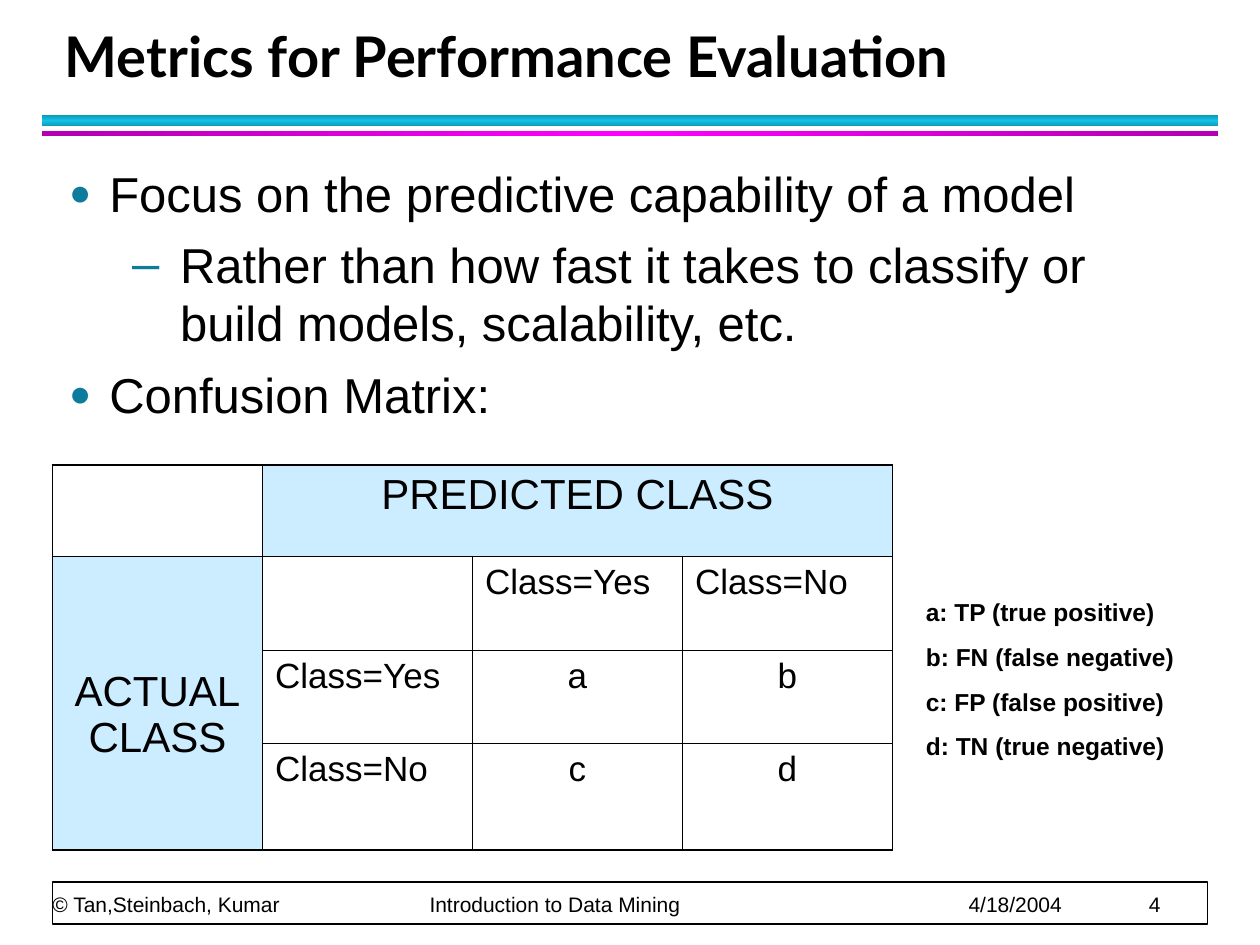
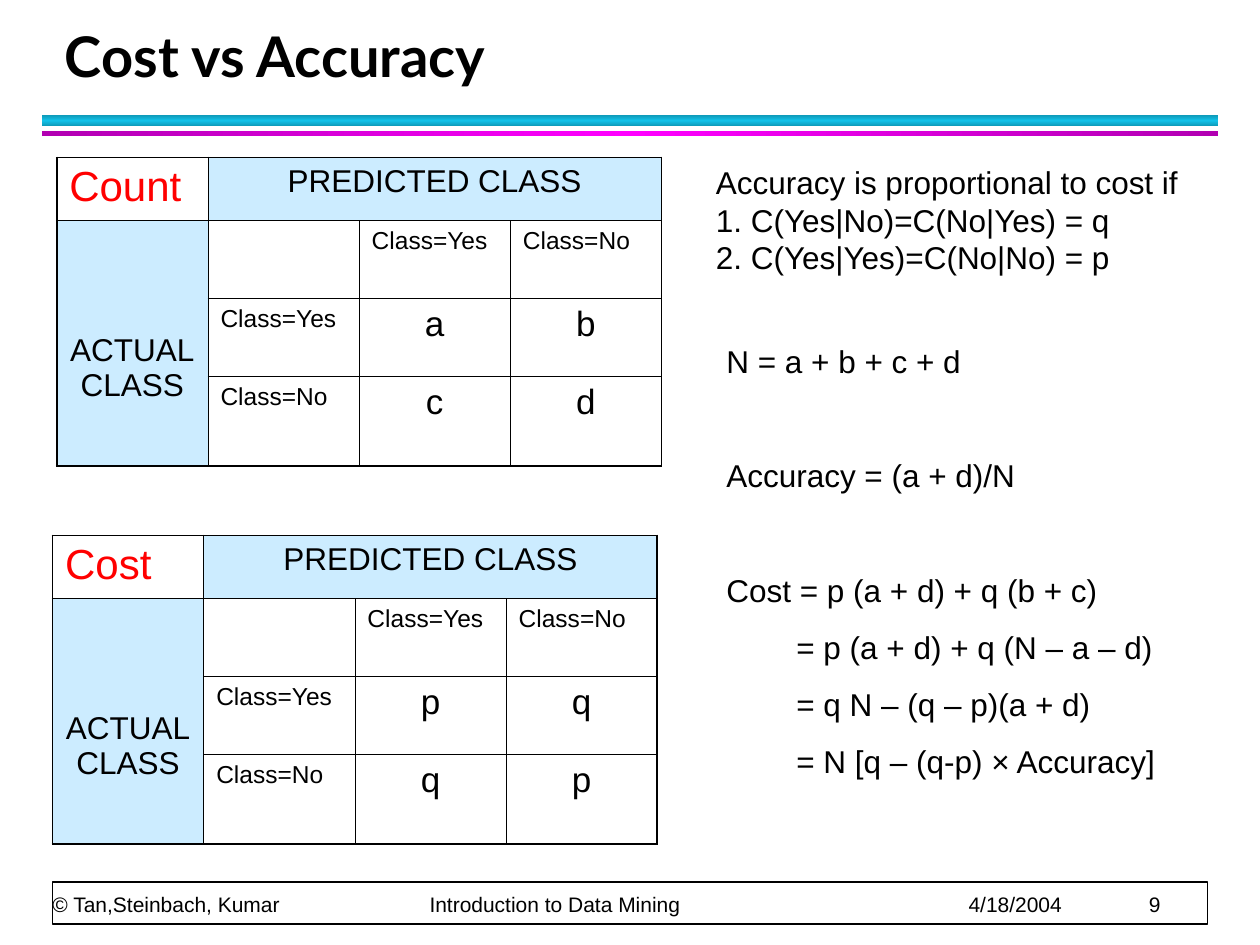
from copy import deepcopy

from lxml import etree
from pptx import Presentation
from pptx.dml.color import RGBColor
from pptx.enum import shapes, text
from pptx.oxml import ns
from pptx.util import Pt

BLACK = RGBColor(0x00, 0x00, 0x00)
WHITE = RGBColor(0xFF, 0xFF, 0xFF)
RED = RGBColor(0xFF, 0x00, 0x00)
HEADER_BLUE = RGBColor(0xCC, 0xEC, 0xFF)
BULLET_TEAL = RGBColor(0x0C, 0x7B, 0x9C)
TEAL, CYAN = RGBColor(0x0E, 0x9B, 0xBA), RGBColor(0x12, 0xC2, 0xE9)
PURPLE, MAGENTA = RGBColor(0xB2, 0x00, 0xB2), RGBColor(0xFF, 0x00, 0xFF)

BODY_FONT, TITLE_FONT = "Arial", "Lato"
LINE_FACTOR = 1.19
OUTER_BORDER, INNER_BORDER = Pt(1.08), Pt(0.45)
FOOTER_TABS = (215.5, 523.5, 626.5)


def add_child(parent, tag, **attributes):
    """Append a DrawingML element and return it."""
    child = etree.SubElement(parent, ns.qn(tag))
    for key, value in attributes.items():
        child.set(key, str(value))
    return child


def write(paragraph, words, size, font=BODY_FONT, color=BLACK, bold=False):
    """Add words as runs, with a line break at each newline."""
    for index, line in enumerate(words.split("\n")):
        if index:
            paragraph.add_line_break()
        run = paragraph.add_run()
        run.text = line
        run.font.name, run.font.size, run.font.bold = font, Pt(size), bold
        run.font.color.rgb = color


def text_area(slide, left, top, width, height, inset=True):
    """Add a wrapping text box and return its frame."""
    frame = slide.shapes.add_textbox(Pt(left), Pt(top), Pt(width), Pt(height)).text_frame
    frame.word_wrap = True
    if not inset:
        frame.margin_left = frame.margin_right = frame.margin_top = frame.margin_bottom = 0
    return frame


def next_paragraph(frame, index, gap):
    """Return the paragraph at the index, with a gap before all but the first."""
    if index == 0:
        return frame.paragraphs[0]
    paragraph = frame.add_paragraph()
    paragraph.space_before = Pt(gap)
    return paragraph


def rectangle(slide, left, top, width, height):
    """Add a rectangle without shadow."""
    box = slide.shapes.add_shape(
        shapes.MSO_SHAPE.RECTANGLE, Pt(left), Pt(top), Pt(width), Pt(height))
    box.shadow.inherit = False
    return box


def gradient_band(slide, top, height, edge, middle, angle):
    """Add a title rule that fades from edge to middle and back."""
    band = rectangle(slide, 24, top, 672, height)
    band.line.fill.background()
    band.fill.gradient()
    band.fill.gradient_angle = angle
    stop_list = band.element.spPr.find(".//" + ns.qn("a:gsLst"))
    stop_list.append(deepcopy(stop_list[0]))
    for stop, position, color in zip(
            band.fill.gradient_stops, (0, 0.5, 1), (edge, middle, edge)):
        stop.position = position
        stop.color.rgb = color


def footer(slide, number):
    """Add the framed footer with credit, course, date and page number."""
    frame_box = rectangle(slide, 30, 504, 660, 24)
    frame_box.fill.solid()
    frame_box.fill.fore_color.rgb = WHITE
    frame_box.line.color.rgb = BLACK
    frame_box.line.width = Pt(1)
    frame = text_area(slide, 30, 484, 659, 40, inset=False)
    frame.vertical_anchor = text.MSO_ANCHOR.BOTTOM
    paragraph = frame.paragraphs[0]
    tabs = add_child(paragraph._p.get_or_add_pPr(), "a:tabLst")
    for position in FOOTER_TABS:
        add_child(tabs, "a:tab", pos=Pt(position), algn="l")
    paragraph.line_spacing = Pt(20)
    parts = ("© Tan,Steinbach, Kumar", "Introduction to Data Mining", "4/18/2004", str(number))
    write(paragraph, "\t".join(parts), 12)


def base_slide(deck, title, number):
    """Add a blank slide with the shared bands, footer and title."""
    slide = deck.slides.add_slide(deck.slide_layouts[6])
    gradient_band(slide, 66, 6, TEAL, CYAN, 90)
    gradient_band(slide, 75, 3, PURPLE, MAGENTA, 0)
    footer(slide, number)
    frame = text_area(slide, 30, 12, 652, 42)
    frame.vertical_anchor = text.MSO_ANCHOR.BOTTOM
    frame.paragraphs[0].line_spacing = Pt(36)
    write(frame.paragraphs[0], title, 32, TITLE_FONT, bold=True)
    return slide


def bullets(slide, left, top, width, height, items, size=28):
    """Add two-level bullets given as (level, words)."""
    styles = (("●", 75, 23, 23), ("–", 100, 63.4, 27.4))
    frame = text_area(slide, left, top, width, height)
    for index, (level, words) in enumerate(items):
        mark, percent, margin, hang = styles[level]
        paragraph = next_paragraph(frame, index, 3.5)
        properties = paragraph._p.get_or_add_pPr()
        properties.set("marL", str(Pt(margin)))
        properties.set("indent", str(-Pt(hang)))
        add_child(add_child(properties, "a:buClr"), "a:srgbClr", val=BULLET_TEAL)
        add_child(properties, "a:buSzPct", val=percent * 1000)
        add_child(properties, "a:buFont", typeface=BODY_FONT)
        add_child(properties, "a:buChar", char=mark)
        paragraph.level = level
        paragraph.space_after = Pt(4)
        paragraph.line_spacing = Pt(round(size * LINE_FACTOR, 2))
        write(paragraph, words, size)


def lines(slide, left, top, width, height, items, size, bold=False):
    """Add plain paragraphs given as (words, gap before, indent)."""
    frame = text_area(slide, left, top, width, height)
    for index, (words, gap, indent) in enumerate(items):
        paragraph = next_paragraph(frame, index, gap)
        if indent:
            paragraph._p.get_or_add_pPr().set("marL", str(Pt(indent)))
        paragraph.line_spacing = Pt(round(size * LINE_FACTOR, 2))
        write(paragraph, words, size, bold=bold)


def cell_borders(cell, row, column):
    """Draw thick borders on the table's outside and thin ones inside."""
    at_edge = {
        "a:lnL": column == 0,
        "a:lnR": column + cell.span_width == 4,
        "a:lnT": row == 0,
        "a:lnB": row + cell.span_height == 4,
    }
    properties = cell._tc.get_or_add_tcPr()
    for side, outside in at_edge.items():
        line = add_child(properties, side, w=OUTER_BORDER if outside else INNER_BORDER)
        add_child(add_child(line, "a:solidFill"), "a:srgbClr", val=BLACK)


def confusion_matrix(slide, left, top, column_width, row_heights, corner, values,
                     header_size, class_size):
    """Add a predicted-by-actual table holding four values."""
    table = slide.shapes.add_table(
        4, 4, Pt(left), Pt(top), Pt(4 * column_width), Pt(sum(row_heights))).table
    table.first_row = table.horz_banding = False
    for column in table.columns:
        column.width = Pt(column_width)
    for row, height in zip(table.rows, row_heights):
        row.height = Pt(height)
    predicted, actual = table.cell(0, 1), table.cell(1, 0)
    predicted.merge(table.cell(0, 3))
    actual.merge(table.cell(3, 0))
    for row in range(4):
        for column in range(4):
            cell = table.cell(row, column)
            cell_borders(cell, row, column)
            if (row == 0) != (column == 0):
                cell.fill.solid()
                cell.fill.fore_color.rgb = HEADER_BLUE
            else:
                cell.fill.background()

    def fill_cell(row, column, words, size, color=BLACK, centred=False):
        """Write one cell."""
        paragraph = table.cell(row, column).text_frame.paragraphs[0]
        if centred:
            paragraph.alignment = text.PP_ALIGN.CENTER
        write(paragraph, words, size, color=color)

    actual.margin_top = Pt(64)
    if corner:
        fill_cell(0, 0, corner, 24, RED)
    fill_cell(0, 1, "PREDICTED CLASS", header_size, centred=True)
    fill_cell(1, 0, "ACTUAL\nCLASS", header_size, centred=True)
    for index, label in enumerate(("Class=Yes", "Class=No"), start=2):
        fill_cell(1, index, label, class_size)
        fill_cell(index, 1, label, class_size)
    for index, value in enumerate(values):
        fill_cell(2 + index // 2, 2 + index % 2, value, 20, centred=True)


def metrics_slide(deck):
    """Build the slide that introduces the confusion matrix."""
    slide = base_slide(deck, "Metrics for Performance Evaluation", 4)
    bullets(slide, 32.4, 90, 655, 408, (
        (0, "Focus on the predictive capability of a model"),
        (1, "Rather than how fast it takes to classify or build models, scalability, etc."),
        (0, "Confusion Matrix:"),
    ))
    confusion_matrix(slide, 30, 265.8, 120, (52, 54, 53, 61), None, "abcd", 24, 20)
    legend = ("a: TP (true positive)", "b: FN (false negative)",
              "c: FP (false positive)", "d: TN (true negative)")
    lines(slide, 522, 338, 174, 101, [(entry, 8.8, 0) for entry in legend], 14, bold=True)


def cost_slide(deck):
    """Build the slide that relates cost to accuracy."""
    slide = base_slide(deck, "Cost vs Accuracy", 9)
    row_heights = (36, 44.6, 44.6, 51.2)
    for left, top, corner, values in ((32.4, 90, "Count", "abcd"), (30, 306, "Cost", "pqqp")):
        confusion_matrix(slide, left, top, 86.4, row_heights, corner, values, 18, 14)
    step, section, indent = 11.2, 44, 40
    lines(slide, 408, 192, 282, 292, (
        ("N = a + b + c + d", 0, 0),
        ("Accuracy = (a + d)/N", section, 0),
        ("Cost = p (a + d) + q (b + c)", section, 0),
        ("= p (a + d) + q (N – a – d)", step, indent),
        ("= q N – (q – p)(a + d)", step, indent),
        ("= N [q – (q-p) × Accuracy]", step, indent),
    ), 18)
    conditions = ("Accuracy is proportional to cost if\n"
                  "1. C(Yes|No)=C(No|Yes) = q\n2. C(Yes|Yes)=C(No|No) = p")
    lines(slide, 402, 90, 294, 72, ((conditions, 0, 0),), 18)


def main():
    """Build and save the deck."""
    deck = Presentation()
    deck.slide_width, deck.slide_height = Pt(720), Pt(540)
    metrics_slide(deck)
    cost_slide(deck)
    deck.save("out.pptx")


if __name__ == "__main__":
    main()
